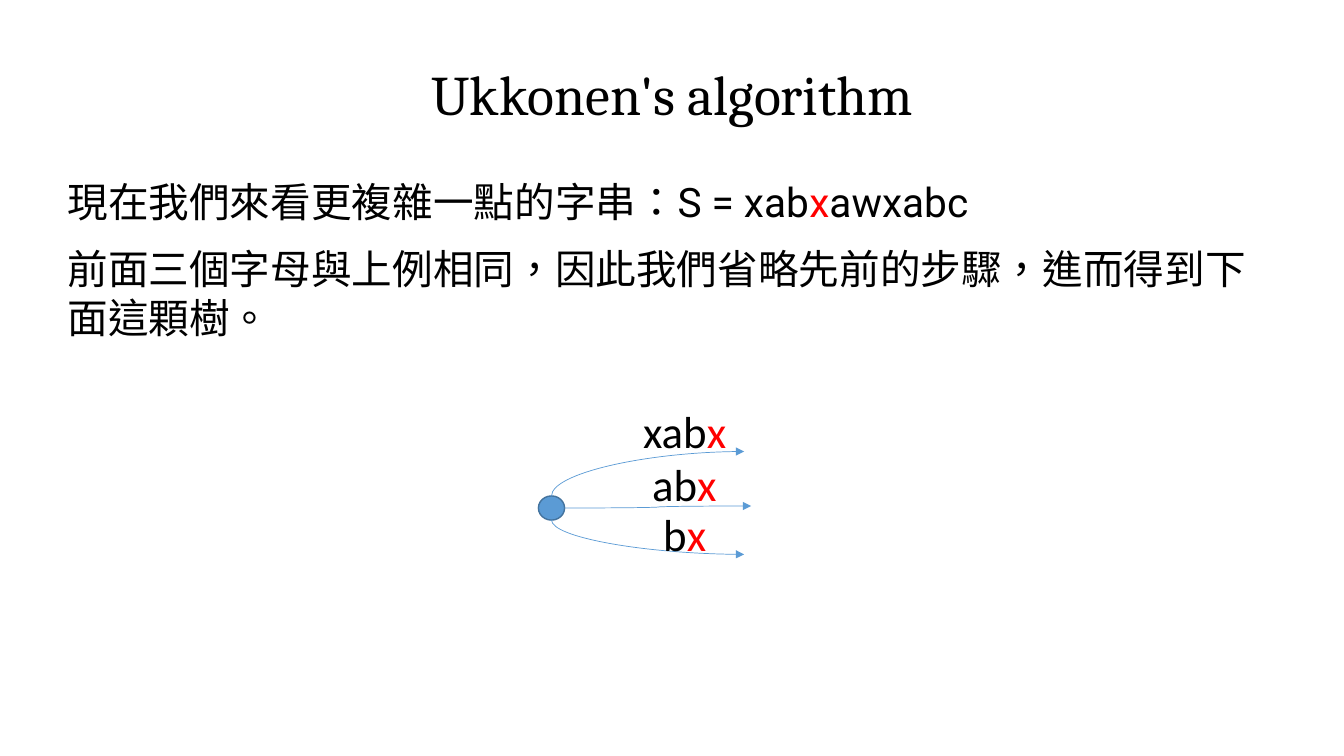
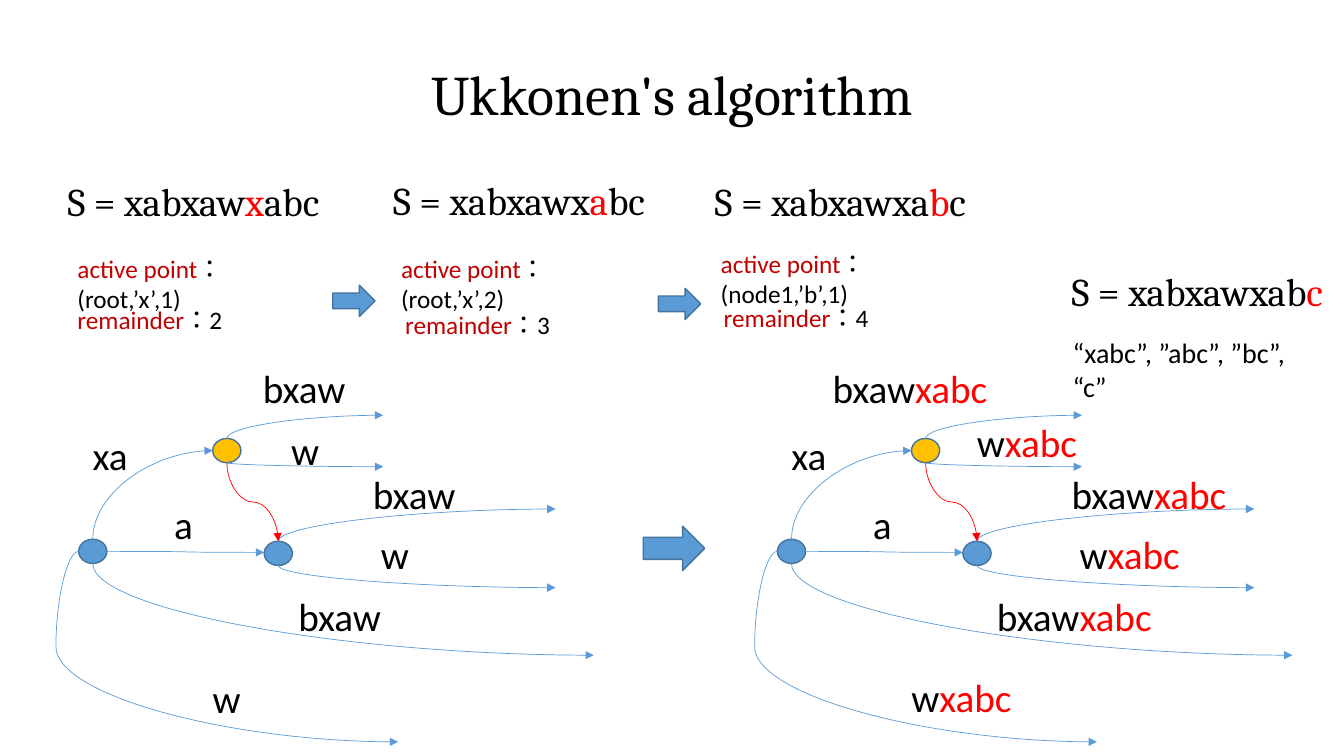
import pptx
import pptx.dml.color
import pptx.enum.dml
import pptx.enum.lang
import pptx.enum.shapes
import pptx.enum.text
import pptx.oxml
import pptx.oxml.ns
import pptx.util

BLACK = pptx.dml.color.RGBColor(0x00, 0x00, 0x00)
RED = pptx.dml.color.RGBColor(0xFF, 0x00, 0x00)
DARK_RED = pptx.dml.color.RGBColor(0xC0, 0x00, 0x00)
BLUE = pptx.dml.color.RGBColor(0x5B, 0x9B, 0xD5)
BORDER_BLUE = pptx.dml.color.RGBColor(0x43, 0x73, 0x9E)
GOLD = pptx.dml.color.RGBColor(0xFF, 0xC0, 0x00)

# The grid: square cells, 13.33 columns by 7.5 rows
CELL = pptx.util.Inches(1)
COLUMNS, ROWS = 13.33, 7.5
MARGIN = 0.67
CONTENT_WIDTH = 12
NODE_WIDTH, NODE_HEIGHT = 0.28, 0.24
TREE_SHIFT = 6.93

TITLE = {"name": "Cambria", "size": pptx.util.Pt(39.9)}
PROSE = {"name": "Roboto", "size": pptx.util.Pt(29),
         "language_id": pptx.enum.lang.MSO_LANGUAGE_ID.TRADITIONAL_CHINESE}
STRING = {"name": "Cambria", "size": pptx.util.Pt(28)}
STATUS = {"name": "Calibri", "size": pptx.util.Pt(18),
          "language_id": pptx.enum.lang.MSO_LANGUAGE_ID.TRADITIONAL_CHINESE}
SUFFIXES = {"name": "Calibri", "size": pptx.util.Pt(20)}
BIG_LABEL = {"name": "Calibri", "size": pptx.util.Pt(32)}
LABEL = {"name": "Calibri", "size": pptx.util.Pt(28)}

# Edges of the tree: start, end, bend, colour
TREE_EDGES = [
    ((0.92, 5.35), (2.11, 4.47), "corner", BLUE),
    ((2.25, 4.35), (3.8, 4.12), "corner", BLUE),
    ((2.25, 4.59), (3.8, 4.63), "corner", BLUE),
    ((0.92, 5.59), (5.89, 6.5), "corner", BLUE),
    ((1.06, 5.47), (2.62, 5.48), "across", BLUE),
    ((2.76, 5.37), (5.51, 5.05), "corner", BLUE),
    ((2.76, 5.61), (5.51, 5.83), "corner", BLUE),
    ((2.25, 4.59), (2.76, 5.37), "drop", RED),
    ((0.78, 5.47), (3.95, 7.36), "loop", BLUE),
]
TREE_NODES = [((0.92, 5.47), BLUE), ((2.25, 4.47), GOLD), ((2.76, 5.49), BLUE)]

# Labels of the tree: text, left and top, left and top once the leaf has grown
INNER_LABELS = [("xa", (0.82, 4.23)), ("a", (1.63, 4.91))]
LEAF_LABELS = [
    ("bxaw", (2.51, 3.57), (1.23, 3.57)),
    ("w", (2.79, 4.18), (2.66, 4.1)),
    ("bxaw", (3.6, 4.62), (3.6, 4.62)),
    ("w", (3.68, 5.21), (3.68, 5.21)),
    ("bxaw", (2.86, 5.83), (2.86, 5.83)),
    ("w", (2.01, 6.64), (2.01, 6.63)),
]


def cells(*lengths):
    return [round(CELL * length) for length in lengths]


def set_attributes(target, values):
    for name, value in values.items():
        setattr(target, name, value)


def add_text(slide, box, paragraphs, font, inset=None, centred=False):
    """Each paragraph is a list of (text, colour) runs."""
    frame = slide.shapes.add_textbox(*cells(*box)).text_frame
    frame.word_wrap = True
    if inset is not None:
        set_attributes(frame, {f"margin_{side}": inset
                               for side in ("left", "top", "right", "bottom")})
    if centred:
        frame.vertical_anchor = pptx.enum.text.MSO_ANCHOR.MIDDLE
    for index, runs in enumerate(paragraphs):
        paragraph = frame.add_paragraph() if index else frame.paragraphs[0]
        if index:
            paragraph.space_before = pptx.util.Pt(12.8)
        if centred:
            paragraph.alignment = pptx.enum.text.PP_ALIGN.CENTER
        for text, colour in runs:
            run = paragraph.add_run()
            run.text = text
            set_attributes(run.font, font)
            run.font.color.rgb = colour


def add_title(slide):
    add_text(slide, (MARGIN, 0.3, CONTENT_WIDTH, 1.25),
             [[("Ukkonen's algorithm", BLACK)]], TITLE, 0, True)


def add_label(slide, position, old, new, font):
    width = 0.25 + 0.21 * len(old + new)
    runs = [(old, BLACK)] + ([(new, RED)] if new else [])
    add_text(slide, (*position, width, 0.57), [runs], font)


def add_string(slide, box, before, current, after, inset=None):
    runs = [("S = " + before, BLACK), (current, RED), (after, BLACK)]
    add_text(slide, box, [[run for run in runs if run[0]]], STRING, inset)


def add_status(slide, box, name, value):
    add_text(slide, (*box, 0.4), [[(name, DARK_RED), (value, BLACK)]], STATUS)


def add_preset(slide, preset, box, colour):
    shape = slide.shapes.add_shape(preset, *cells(*box))
    shape.shadow.inherit = False
    shape.fill.solid()
    shape.fill.fore_color.rgb = colour
    shape.line.color.rgb = BORDER_BLUE
    shape.line.width = pptx.util.Pt(1)


def add_node(slide, centre, colour, width=NODE_WIDTH):
    add_preset(slide, pptx.enum.shapes.MSO_SHAPE.OVAL,
               (centre[0] - width / 2, centre[1] - NODE_HEIGHT / 2,
                width, NODE_HEIGHT), colour)


def add_block_arrow(slide, *box):
    add_preset(slide, pptx.enum.shapes.MSO_SHAPE.RIGHT_ARROW, box, BLUE)


def add_edge(slide, start, end, bend, colour):
    """Bends: across and loop leave sideways, corner and drop leave vertically."""
    connector = slide.shapes.add_connector(
        pptx.enum.shapes.MSO_CONNECTOR.CURVE, *cells(*start, *end))
    connector.line.color.rgb = colour
    connector.line.width = pptx.util.Pt(0.5)
    qn = pptx.oxml.ns.qn
    properties = connector._element.spPr
    geometry = properties.find(qn("a:prstGeom"))
    if bend in ("corner", "drop"):
        # The frame lies on its side, turned about its centre
        rise = start[1] - end[1]
        width, height = abs(rise), end[0] - start[0]
        left, top, width, height = cells(
            (start[0] + end[0] - width) / 2, (start[1] + end[1] - height) / 2,
            width, height)
        set_attributes(connector, {"left": left, "top": top,
                                   "width": width, "height": height})
        frame = properties.find(qn("a:xfrm"))
        frame.set("rot", "5400000" if rise > 0 else "16200000")
        frame.set("flipH", "1")
        frame.set("flipV", "1" if rise > 0 else "0")
    if bend == "corner":
        geometry.set("prst", "curvedConnector2")
    if bend == "loop":
        adjustments = geometry.find(qn("a:avLst"))
        guide = adjustments.makeelement(
            qn("a:gd"), {"name": "adj1", "fmla": "val -7100"})
        adjustments.append(guide)
    line = properties.find(qn("a:ln"))
    line.append(line.makeelement(qn("a:tailEnd"), {"type": "triangle"}))
    properties.append(properties.makeelement(qn("a:effectLst"), {}))


def add_tree(slide, shift, grown):
    def moved(point):
        return point[0] + shift, point[1]

    for centre, colour in TREE_NODES:
        add_node(slide, moved(centre), colour)
    for start, end, bend, colour in TREE_EDGES:
        add_edge(slide, moved(start), moved(end), bend, colour)
    for text, position in INNER_LABELS:
        add_label(slide, moved(position), text, "", LABEL)
    for text, short, long in LEAF_LABELS:
        add_label(slide, moved(long if grown else short), text,
                  "xabc" if grown else "", LABEL)


def build_first_tree(slide):
    add_title(slide)
    add_text(slide, (MARGIN, 1.76, CONTENT_WIDTH, 4.35), [
        [("現在我們來看更複雜一點的字串：S = xab", BLACK), ("x", RED),
         ("awxabc", BLACK)],
        [("前面三個字母與上例相同，因此我們省略先前的步驟，進而得到下面這顆樹。",
          BLACK)],
    ], PROSE, 0)
    add_node(slide, (5.47, 5.04), BLUE, 0.26)
    for start, end, bend in [((5.47, 4.92), (7.38, 4.48), "corner"),
                             ((5.6, 5.04), (7.45, 5.02), "across"),
                             ((5.47, 5.16), (7.38, 5.5), "corner")]:
        add_edge(slide, start, end, bend, BLUE)
    for position, text in [((6.28, 3.96), "xab"), ((6.37, 4.48), "ab"),
                           ((6.48, 4.98), "b")]:
        add_label(slide, position, text, "x", BIG_LABEL)


def build_growth(slide):
    add_title(slide)
    # The string at each step
    add_string(slide, (MARGIN, 1.76, CONTENT_WIDTH, 4.35), "xabxaw", "x", "abc", 0)
    for left, top, before, current, after in [
            (3.8, 1.7, "xabxawx", "a", "bc"),
            (6.99, 1.71, "xabxawxa", "b", "c"),
            (10.53, 2.6, "xabxawxab", "c", "")]:
        add_string(slide, (left, top, 2.97, 0.57), before, current, after)
    # Active point and remainder
    for box, value in [((0.67, 2.46, 2.7), "(root,’x’,1)"),
                       ((3.88, 2.46, 2.7), "(root,’x’,2)"),
                       ((7.05, 2.41, 2.9), "(node1,’b’,1)")]:
        add_status(slide, box, "active point", "： " + value)
    for box, value in [((0.67, 2.97, 1.8), "2"), ((3.92, 3.02, 1.7), "3"),
                       ((7.08, 2.95, 1.8), "4")]:
        add_status(slide, box, "remainder", "：" + value)
    add_text(slide, (10.54, 3.28, 2.59, 0.44),
             [[("“xabc”, ”abc”, ”bc”, “c”", BLACK)]], SUFFIXES)
    # Steps and trees
    add_block_arrow(slide, 3.3, 2.83, 0.42, 0.31)
    add_block_arrow(slide, 6.53, 2.86, 0.42, 0.31)
    add_block_arrow(slide, 6.38, 5.22, 0.61, 0.44)
    add_tree(slide, 0, False)
    add_tree(slide, TREE_SHIFT, True)


def main():
    presentation = pptx.Presentation()
    width, height = cells(COLUMNS, ROWS)
    set_attributes(presentation, {"slide_width": width, "slide_height": height})
    blank = presentation.slide_layouts[6]
    for build in (build_first_tree, build_growth):
        build(presentation.slides.add_slide(blank))
    presentation.save("out.pptx")


if __name__ == "__main__":
    main()
